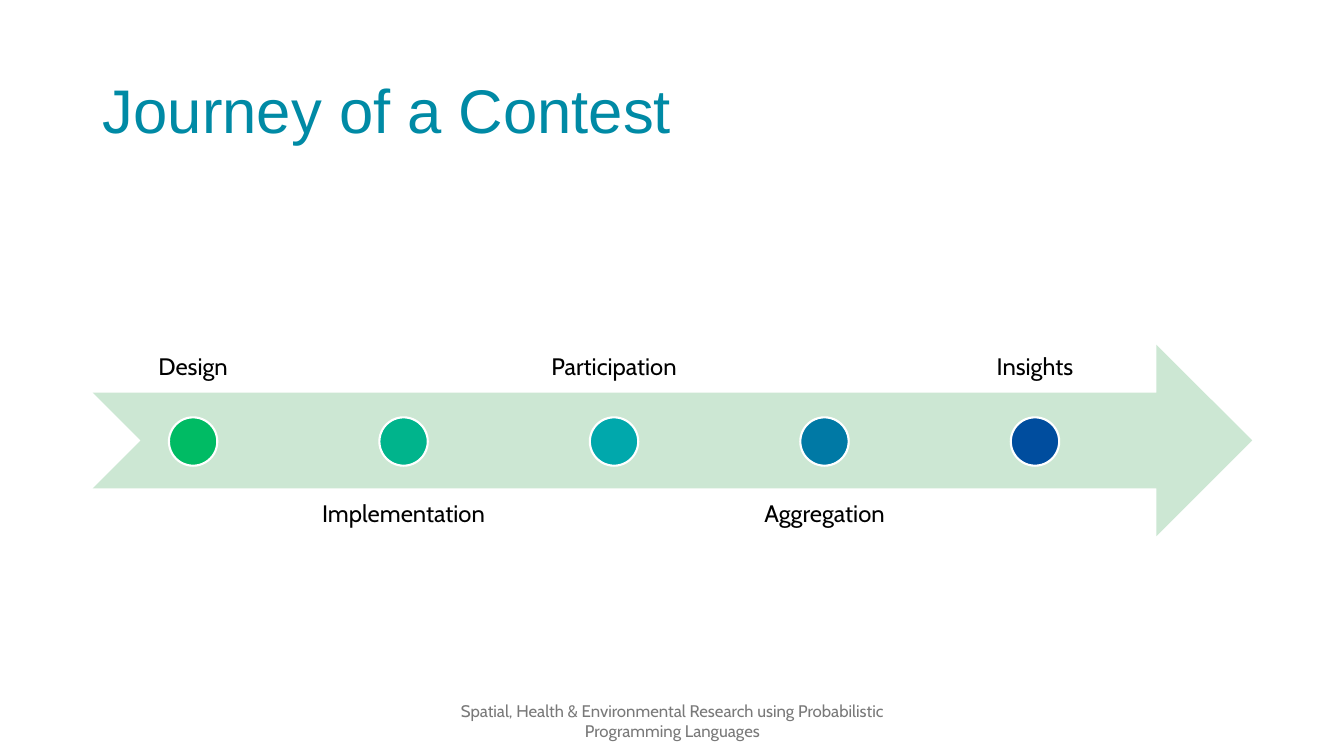
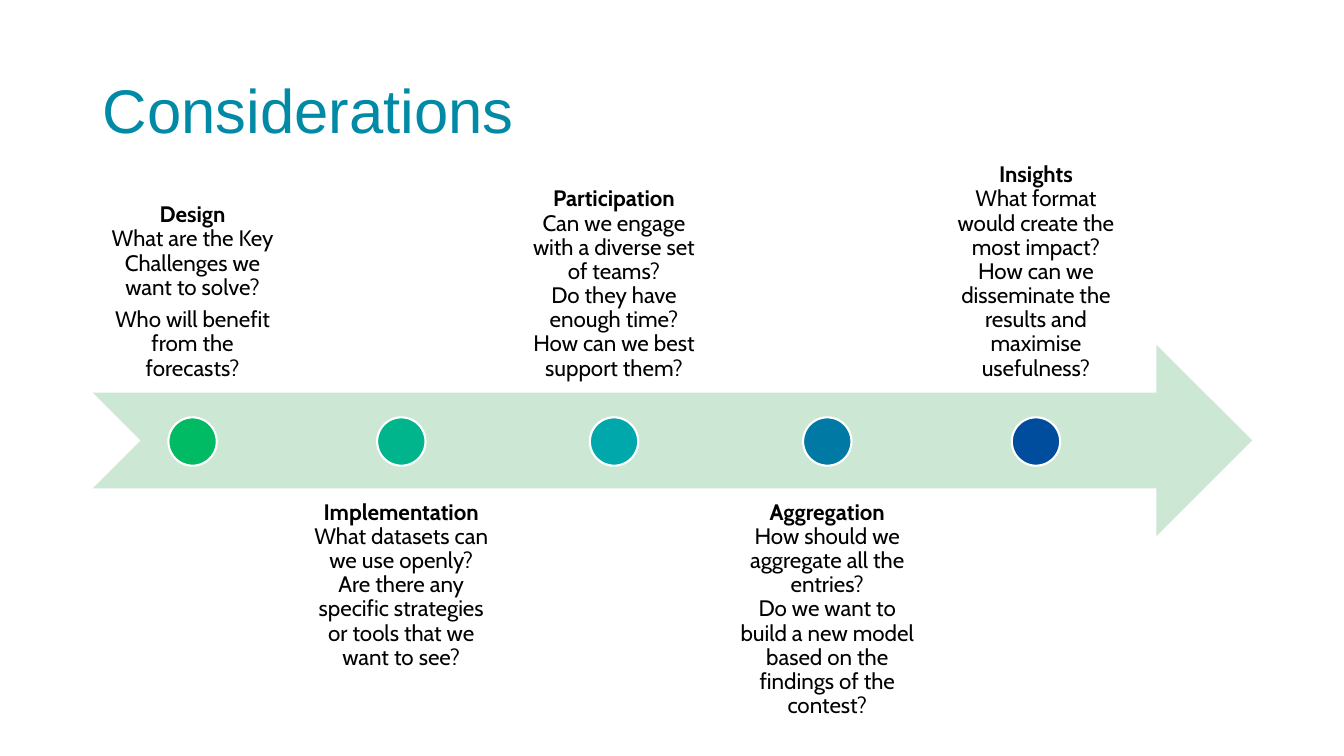
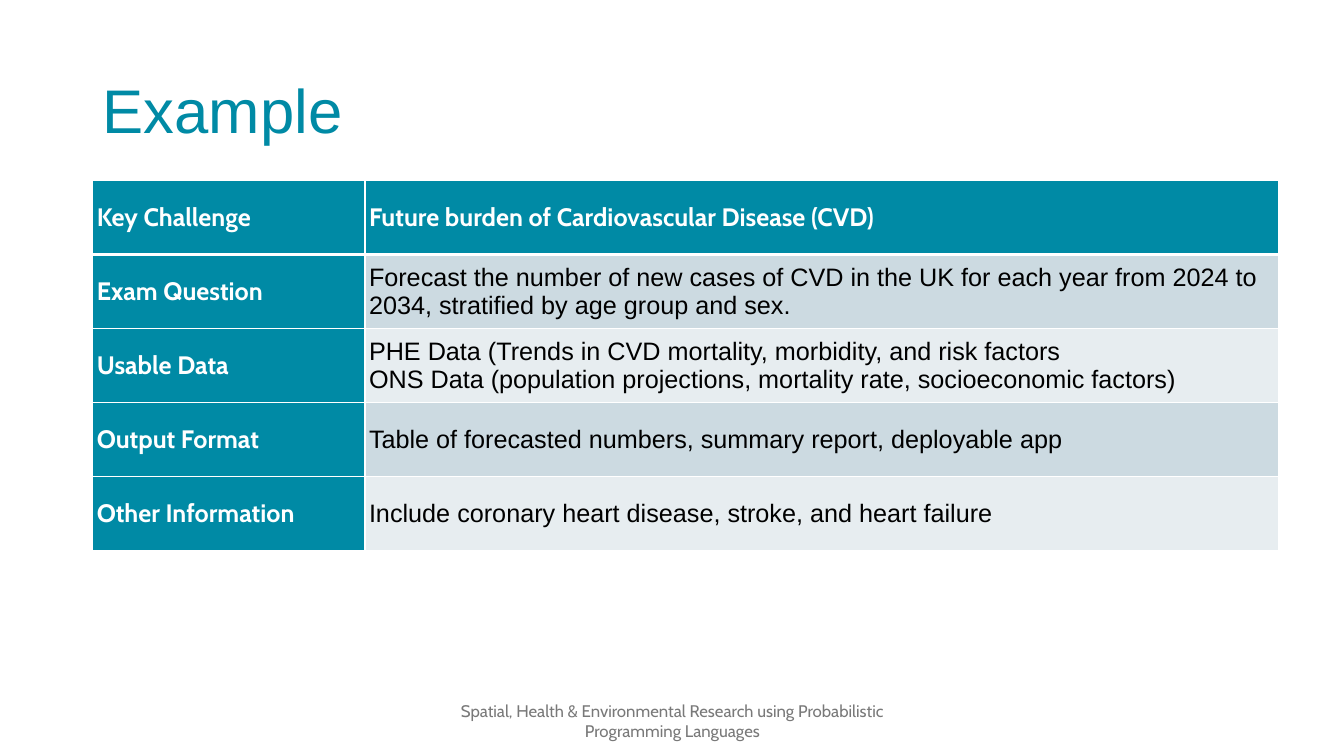
from dataclasses import dataclass

from lxml.etree import SubElement
from pptx import Presentation
from pptx.dml.color import RGBColor
from pptx.enum.shapes import MSO_SHAPE as Preset
from pptx.enum.text import MSO_ANCHOR as Anchor, MSO_AUTO_SIZE as AutoSize, PP_ALIGN as Align
from pptx.oxml.ns import qn
from pptx.util import Inches, Pt


@dataclass(frozen=True)
class Theme:
    teal: str = "008AA5"
    mint: str = "CCE7D3"
    white: str = "FFFFFF"
    black: str = "000000"
    grey: str = "797979"
    dots: tuple = ("00BB64", "00B48C", "00A8AC", "0079A5", "004D9E")
    bands: tuple = ("CCDAE1", "E7EDF0")
    heading: str = "Arial"
    body: str = "Cabin"
    title_size: int = 44
    table_size: int = 18
    label_size: int = 17
    detail_size: int = 16
    footer_size: int = 12


THEME = Theme()
LEFT = 0.92
STAGES_RIGHT = 11.26
LABEL_HEIGHT = 1.9
DOT = 0.48
FOOTER = "Spatial, Health & Environmental Research using Probabilistic Programming Languages"


def plain(text):
    return [[(text, False)]]


def bold(text):
    return [[(text, True)]]


def detail(name, *questions):
    first, *others = questions
    return [[(name + "\n", True), (first, False)]] + [[(text, False)] for text in others]


JOURNEY = [(1.99, plain(name)) for name in
           ("Design", "Implementation", "Participation", "Aggregation", "Insights")]

CONSIDERATIONS = [
    (1.98, detail("Design", "What are the Key Challenges we want to solve?",
                  "Who will benefit from the forecasts?")),
    (2.03, detail("Implementation", "What datasets can we use openly?\n"
                  "Are there any specific strategies or tools that we want to see?")),
    (2.06, detail("Participation", "Can we engage with a diverse set of teams?\n"
                  "Do they have enough time?\nHow can we best support them?")),
    (2.04, detail("Aggregation", "How should we aggregate all the entries?\n"
                  "Do we want to build a new model based on the findings of the contest?")),
    (1.97, detail("Insights", "What format would create the most impact?\n"
                  "How can we disseminate the results and maximise usefulness?")),
]

EXAMPLE = [
    ("Key Challenge", bold("Future burden of Cardiovascular Disease (CVD)")),
    ("Exam Question", plain("Forecast the number of new cases of CVD in the UK for each year "
                            "from 2024 to 2034, stratified by age group and sex.")),
    ("Usable Data",
     plain("PHE Data (Trends in CVD mortality, morbidity, and risk factors")
     + plain("ONS Data (population projections, mortality rate, socioeconomic factors)")),
    ("Output Format", plain("Table of forecasted numbers, summary report, deployable app")),
    ("Other Information", plain("Include coronary heart disease, stroke, and heart failure")),
]


class DeckBuilder:
    """Hold the deck, its theme and the current page, and draw each kind of element."""

    def __init__(self, theme):
        self.theme = theme
        self.deck = Presentation()
        self.deck.slide_width = Inches(13.33)
        self.deck.slide_height = Inches(7.5)
        self.page = None

    def apply(self, target, **values):
        for name, value in values.items():
            setattr(target, name, value)

    def set_text(self, frame, paragraphs, size, color, font, **layout):
        frame.word_wrap = True
        for index, spans in enumerate(paragraphs):
            para = frame.add_paragraph() if index else frame.paragraphs[0]
            self.apply(para, **layout)
            for text, is_bold in spans:
                for number, line in enumerate(text.split("\n")):
                    if number:
                        para.add_line_break()
                    if line:
                        span = para.add_run()
                        span.text = line
                        self.apply(span.font, name=font, size=Pt(size), bold=is_bold)
                        span.font.color.rgb = RGBColor.from_string(color)
            for line_break in para._p.findall(qn("a:br")):
                SubElement(line_break, qn("a:rPr"), sz=str(size * 100))

    def add_page(self, title):
        self.page = self.deck.slides.add_slide(self.deck.slide_layouts[5])
        box = self.page.shapes.title
        self.apply(box, left=Inches(LEFT), top=Inches(0.4), width=Inches(11.5), height=Inches(1.45))
        self.apply(box.text_frame, vertical_anchor=Anchor.MIDDLE, auto_size=AutoSize.NONE)
        self.set_text(box.text_frame, plain(title), self.theme.title_size, self.theme.teal,
                      self.theme.heading, alignment=Align.LEFT, line_spacing=0.9)

    def add_text(self, place, paragraphs, size, color, anchor, inset=None, **layout):
        box = self.page.shapes.add_textbox(*map(Inches, place))
        frame = box.text_frame
        frame.vertical_anchor = anchor
        if inset is not None:
            sides = ("margin_left", "margin_top", "margin_right", "margin_bottom")
            self.apply(frame, **dict.fromkeys(sides, Inches(inset)))
        self.set_text(frame, paragraphs, size, color, self.theme.body,
                      alignment=Align.CENTER, **layout)

    def add_footer(self):
        self.add_text((4.42, 6.95, 4.5, 0.4), plain(FOOTER), self.theme.footer_size,
                      self.theme.grey, Anchor.MIDDLE)

    def add_shape(self, preset, place, fill, line=None):
        shape = self.page.shapes.add_shape(preset, *map(Inches, place))
        shape.shadow.inherit = False
        shape.fill.solid()
        shape.fill.fore_color.rgb = RGBColor.from_string(fill)
        if line:
            shape.line.color.rgb = RGBColor.from_string(line)
            shape.line.width = Pt(1.5)
        else:
            shape.line.fill.background()

    def add_timeline(self, stages, size, inset):
        self.add_shape(Preset.NOTCHED_RIGHT_ARROW, (LEFT, 3.42, 11.5, 1.9), self.theme.mint)
        used = sum(width for width, _ in stages)
        gap = (STAGES_RIGHT - LEFT - used) / (len(stages) - 1)
        left = LEFT
        for index, (width, paragraphs) in enumerate(stages):
            top, anchor = (4.85, Anchor.TOP) if index % 2 else (2, Anchor.BOTTOM)
            self.add_text((left, top, width, LABEL_HEIGHT), paragraphs, size, self.theme.black,
                          anchor, inset, line_spacing=0.9, space_after=Pt(6))
            self.add_shape(Preset.OVAL, (left + (width - DOT) / 2, 4.14, DOT, DOT),
                           self.theme.dots[index], self.theme.white)
            left += width + gap

    def add_borders(self, cell, bottom, top):
        properties = cell._tc.get_or_add_tcPr()
        for side, points in (("L", 1), ("R", 1), ("T", top), ("B", bottom)):
            line = SubElement(properties, qn(f"a:ln{side}"), w=str(Pt(points)))
            SubElement(SubElement(line, qn("a:solidFill")), qn("a:srgbClr"), val=self.theme.white)

    def add_cell(self, cell, paragraphs, fill, color, font, bottom, top):
        self.add_borders(cell, bottom, top)
        self.apply(cell, vertical_anchor=Anchor.MIDDLE, margin_left=Inches(0.04),
                   margin_right=Inches(0.04), margin_top=0, margin_bottom=0)
        cell.fill.solid()
        cell.fill.fore_color.rgb = RGBColor.from_string(fill)
        self.set_text(cell.text_frame, paragraphs, self.theme.table_size, color, font)

    def add_table(self, rows):
        theme = self.theme
        table = self.page.shapes.add_table(
            len(rows), 2, *map(Inches, (LEFT, 1.79, 11.76, 3.67))).table
        for column, width in zip(table.columns, (2.7, 9.06)):
            column.width = Inches(width)
        for index, (name, answer) in enumerate(rows):
            header = (theme.teal, theme.white, theme.body)
            value = (theme.bands[(index - 1) % 2], theme.black, theme.heading) if index else header
            edges = (1 if index else 3, 3 if index == 1 else 1)
            self.add_cell(table.cell(index, 0), bold(name), *header, *edges)
            self.add_cell(table.cell(index, 1), answer, *value, *edges)


def main():
    builder = DeckBuilder(THEME)

    builder.add_page("Journey of a Contest")
    builder.add_timeline(JOURNEY, THEME.label_size, 0.13)
    builder.add_footer()

    builder.add_page("Considerations")
    builder.add_timeline(CONSIDERATIONS, THEME.detail_size, 0.12)

    builder.add_page("Example")
    builder.add_footer()
    builder.add_table(EXAMPLE)

    builder.deck.save("out.pptx")


if __name__ == "__main__":
    main()
